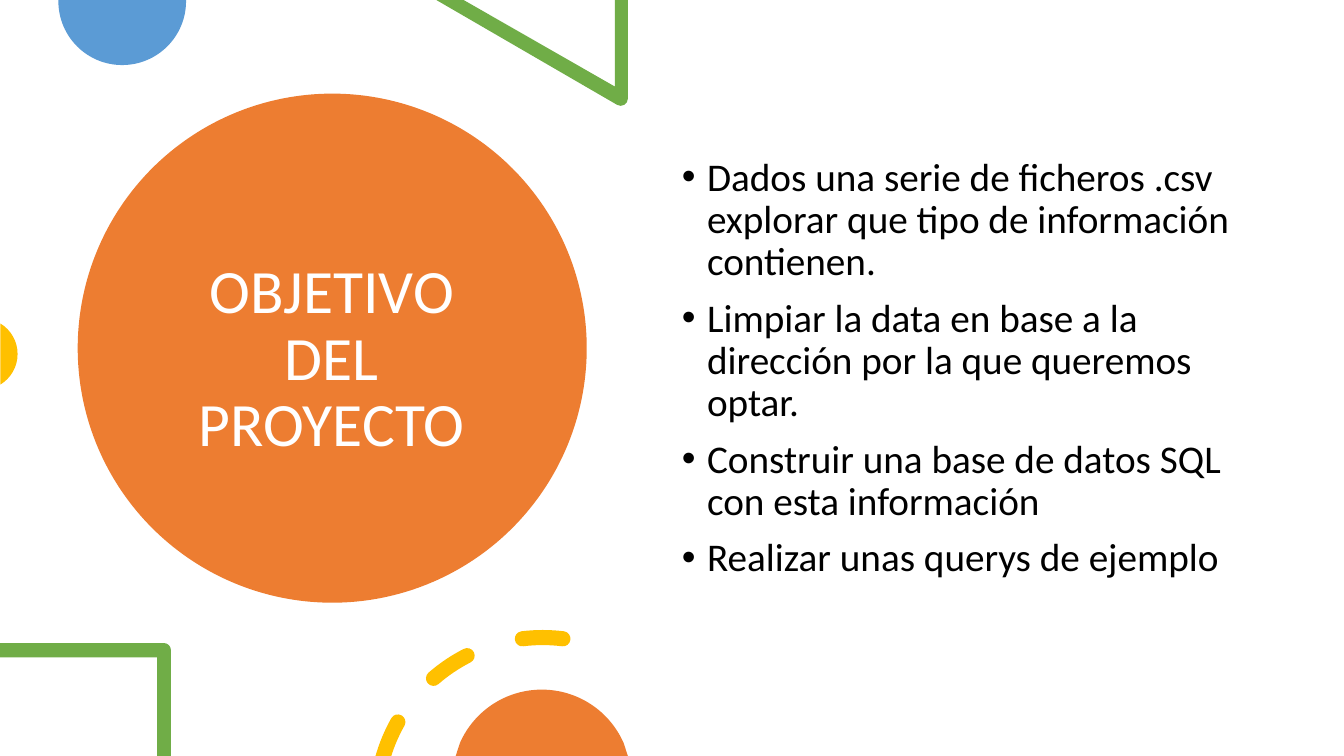
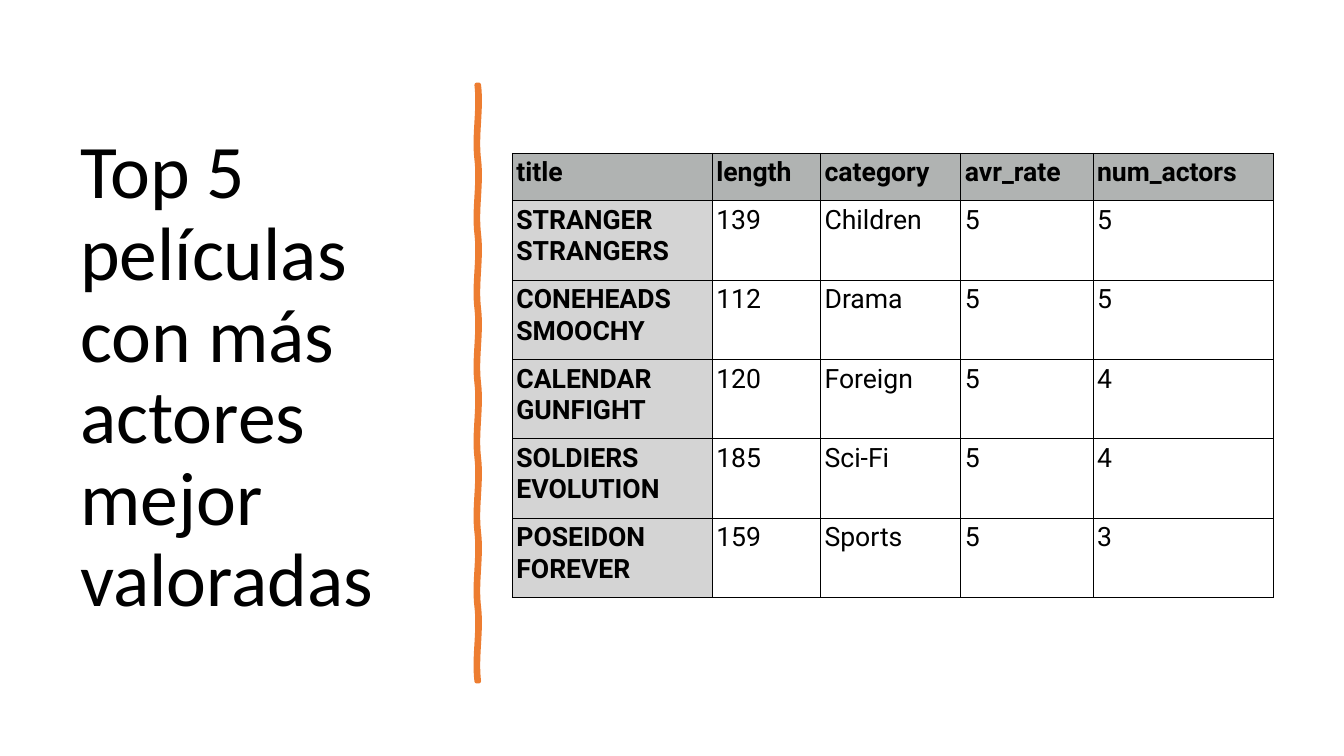
"""Build the project-goal slide and the top-five films slide on a 32 x 18 grid."""
from math import ceil, cos, radians, sin, tan

from lxml.etree import SubElement
from pptx import Presentation
from pptx.dml.color import RGBColor
from pptx.enum.shapes import MSO_SHAPE
from pptx.enum.text import MSO_ANCHOR, MSO_AUTO_SIZE, PP_ALIGN
from pptx.oxml.ns import qn
from pptx.util import Inches, Pt

COLS, ROWS = 32, 18
UNIT = Inches(7.5) / ROWS
COLORS = {
    "orange": "ED7D31", "blue": "5B9BD5", "green": "70AD47", "gold": "FFC000",
    "black": "000000", "white": "FFFFFF", "head": "B0B3B2", "side": "D4D4D4",
}
TEXT_FONT, TABLE_FONT = "Calibri", "Roboto"

GOALS = [
    "Dados una serie de ficheros .csv explorar que tipo de información contienen.",
    "Limpiar la data en base a la dirección por la que queremos optar.",
    "Construir una base de datos SQL con esta información",
    "Realizar unas querys de ejemplo",
]
FILMS = [
    ("title", "length", "category", "avr_rate", "num_actors"),
    ("STRANGER STRANGERS", "139", "Children", "5", "5"),
    ("CONEHEADS SMOOCHY", "112", "Drama", "5", "5"),
    ("CALENDAR GUNFIGHT", "120", "Foreign", "5", "4"),
    ("SOLDIERS EVOLUTION", "185", "Sci-Fi", "5", "4"),
    ("POSEIDON FOREVER", "159", "Sports", "5", "3"),
]
FILM_COLS = [4.76, 2.58, 3.34, 3.15, 4.29]
HEAD_ROW, FILM_ROW = 1.13, 1.89


def grid(*units):
    """Turn grid units into lengths."""
    return [round(u * UNIT) for u in units]


def rgb(name):
    """Look up a named colour."""
    return RGBColor.from_string(COLORS[name])


def format_runs(p, font, size, color, bold=False):
    """Format every run of a paragraph."""
    for r in p.runs:
        r.font.name, r.font.size, r.font.bold = font, Pt(size), bold
        r.font.color.rgb = rgb(color)


def paint(sp, color):
    """Give a shape a flat fill, no line and no shadow."""
    sp.shadow.inherit = False
    sp.fill.solid()
    sp.fill.fore_color.rgb = rgb(color)
    sp.line.fill.background()


def lines(*points):
    """Return straight steps through the points."""
    return [(point,) for point in points]


def arc(cx, cy, radius, start, end):
    """Return a step to the arc's start, then Bézier steps, in clockwise degrees."""
    count = ceil(abs(end - start) / 90)
    step = radians(end - start) / count
    pull = radius * 4 / 3 * tan(step / 4)
    angles = [radians(start) + i * step for i in range(count + 1)]
    dots = [(cx + radius * cos(a), cy + radius * sin(a)) for a in angles]
    steps = lines(dots[0])
    for a, b, (x1, y1), (x2, y2) in zip(angles, angles[1:], dots, dots[1:]):
        steps.append(((x1 - pull * sin(a), y1 + pull * cos(a)),
                      (x2 + pull * sin(b), y2 - pull * cos(b)), (x2, y2)))
    return steps


def add_outline(s, color, *contours):
    """Draw closed contours as one shape; three-point steps become curves."""
    fb = s.shapes.build_freeform(*grid(*contours[0][0][0]))
    for i, contour in enumerate(contours):
        if i:
            fb.move_to(*grid(*contour[0][0]))
        points = [grid(*point) for step in contour[1:] for point in step]
        fb.add_line_segments(points, close=True)
    sp = fb.convert_to_shape()
    nodes = iter(list(sp._element.iter(qn("a:lnTo"))))
    for step in (step for contour in contours for step in contour[1:]):
        node, *controls = [next(nodes) for _ in step]
        if controls:
            node.tag = qn("a:cubicBezTo")
        for control in controls:
            node.append(control[0])
            control.getparent().remove(control)
    paint(sp, color)
    return sp


def dash(cx, cy, radius, start, end, cut=0, half=0.18):
    """Return one ring dash, round-ended, or with a slanting cut at its start."""
    (x1, y1), (x2, y2) = [arc(cx, cy, radius, a, a + 1)[0][0] for a in (start, end)]
    steps = (arc(cx, cy, radius + half, start, end)
             + arc(x2, y2, half, end, end + 180)[1:]
             + arc(cx, cy, radius - half, end, start + cut)[1:])
    return steps if cut else steps + arc(x1, y1, half, start + 180, start + 360)[1:]


def set_title(s, text, box, size, color, align):
    """Place and format the title placeholder."""
    sp = s.shapes.title
    sp.left, sp.top, sp.width, sp.height = grid(*box)
    tf = sp.text_frame
    tf.text = text
    tf.word_wrap, tf.auto_size = True, MSO_AUTO_SIZE.NONE
    tf.vertical_anchor = MSO_ANCHOR.MIDDLE
    p = tf.paragraphs[0]
    p.alignment, p.line_spacing = align, 0.9
    format_runs(p, TEXT_FONT, size, color)


def add_bullets(s, items, box):
    """Add a bulleted list."""
    tf = s.shapes.add_textbox(*grid(*box)).text_frame
    tf.word_wrap = True
    tf.margin_top = Inches(0.66)
    for i, item in enumerate(items):
        p = tf.add_paragraph() if i else tf.paragraphs[0]
        p.text = item
        p.line_spacing, p.space_after = 0.9, Pt(10)
        format_runs(p, TEXT_FONT, 28, "black")
        pPr = p._p.get_or_add_pPr()
        pPr.set("marL", str(Inches(0.25)))
        pPr.set("indent", str(-Inches(0.25)))
        SubElement(pPr, qn("a:buFont"), typeface="Arial")
        SubElement(pPr, qn("a:buChar"), char="•")


def add_decoration(s):
    """Draw the discs, corners and dashed ring around the goal."""
    add_outline(s, "blue", lines((4.43, 0)) + arc(2.91, 0.03, 1.52, 0, 180)
                + lines((1.39, 0)))
    triangle = lines((14.95, 0), (14.64, 0), (14.64, 2.06), (11.04, 0), (10.39, 0))
    add_outline(s, "green", triangle + arc(14.78, 2.35, 0.17, 120, 0))
    add_outline(s, "gold", arc(-0.43, 8.43, 0.85, -59, 59))
    square = lines((0, 15.31), (0, 15.65), (3.74, 15.65), (3.74, ROWS), (4.07, ROWS))
    add_outline(s, "green", square + arc(3.9, 15.48, 0.17, 0, -90))
    spans = [(195.8, 209.5, 1.5), (229, 243), (263, 277)]
    add_outline(s, "gold", *[dash(12.92, 19.14, 3.96, *span) for span in spans])
    add_outline(s, "orange", lines((10.85, ROWS))
                + arc(12.9, 18.55, 2.13, 204, 336) + lines((14.95, ROWS)))


def wave(x, start, end, swing, count=8):
    """Return a wavy vertical edge."""
    h = (end - start) / count
    steps = lines((x, start))
    for i in range(count):
        y = start + i * h
        steps.append(((x + swing, y + h / 3), (x - swing, y + h * 2 / 3), (x, y + h)))
    return steps


def add_divider(s, x, top, bottom):
    """Draw a slightly wavy vertical stroke."""
    edges = wave(x + 0.05, top, bottom, 0.07) + wave(x, bottom, top, -0.07)
    sp = add_outline(s, "orange", edges)
    sp.line.color.rgb = rgb("orange")
    sp.line.width = Pt(3.25)
    SubElement(sp.line._get_or_add_ln(), qn("a:round"))


def set_borders(cell):
    """Draw a thin black line on all four sides of a cell."""
    tcPr = cell._tc.get_or_add_tcPr()
    for side in "LRTB":
        ln = SubElement(tcPr, qn(f"a:ln{side}"), w=str(Pt(0.75)))
        fill = SubElement(ln, qn("a:solidFill"))
        SubElement(fill, qn("a:srgbClr"), val=COLORS["black"])


def format_cell(cell, text, fill):
    """Fill in one cell; shaded cells are bold."""
    cell.text = text
    cell.margin_left = cell.margin_right = Inches(0.04)
    cell.margin_top = cell.margin_bottom = Inches(0.04)
    set_borders(cell)
    if fill:
        cell.fill.solid()
        cell.fill.fore_color.rgb = rgb(fill)
    else:
        cell.fill.background()
    format_runs(cell.text_frame.paragraphs[0], TABLE_FONT, 19, "black", bool(fill))


def add_films(s, left, top):
    """Add the table of films."""
    heights = [HEAD_ROW] + [FILM_ROW] * (len(FILMS) - 1)
    box = grid(left, top, sum(FILM_COLS), sum(heights))
    table = s.shapes.add_table(len(FILMS), len(FILM_COLS), *box).table
    table.first_row = table.horz_banding = False
    for col, width in zip(table.columns, grid(*FILM_COLS)):
        col.width = width
    for row, height in zip(table.rows, grid(*heights)):
        row.height = height
    for i, film in enumerate(FILMS):
        for j, text in enumerate(film):
            fill = "head" if i == 0 else "side" if j == 0 else None
            format_cell(table.cell(i, j), text, fill)


def build_goal(s):
    """Build the goal slide."""
    sp = s.shapes.add_shape(MSO_SHAPE.OVAL, *grid(1.85, 2.23, 12.12, 12.12))
    paint(sp, "orange")
    s.shapes._spTree.insert(2, sp._element)
    set_title(s, "OBJETIVO DEL PROYECTO", (3.65, 3.24, 8.5, 10.68),
              44, "white", PP_ALIGN.CENTER)
    add_decoration(s)
    add_bullets(s, GOALS, (16, 2.16, 13.8, 12.84))


def build_films(s):
    """Build the films slide."""
    set_title(s, "Top 5 películas con más actores mejor valoradas",
              (1.67, 1.68, 8.98, 14.66), 54, "black", PP_ALIGN.LEFT)
    add_divider(s, 11.35, 2.02, 16.22)
    add_films(s, 12.2, 3.65)


def main():
    """Build and save the presentation."""
    prs = Presentation()
    prs.slide_width, prs.slide_height = grid(COLS, ROWS)
    for build in (build_goal, build_films):
        build(prs.slides.add_slide(prs.slide_layouts[5]))
    prs.save("out.pptx")


if __name__ == "__main__":
    main()
